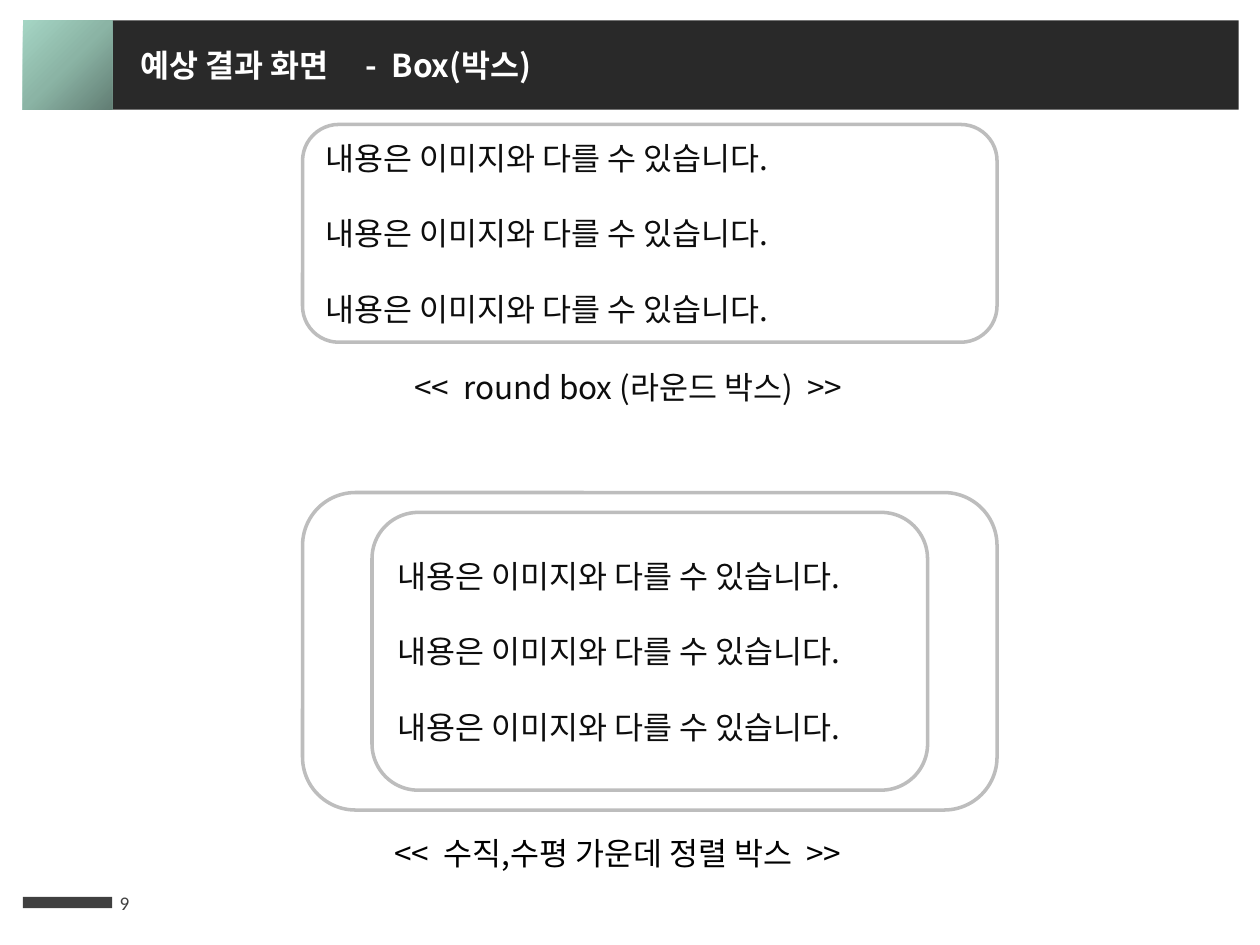
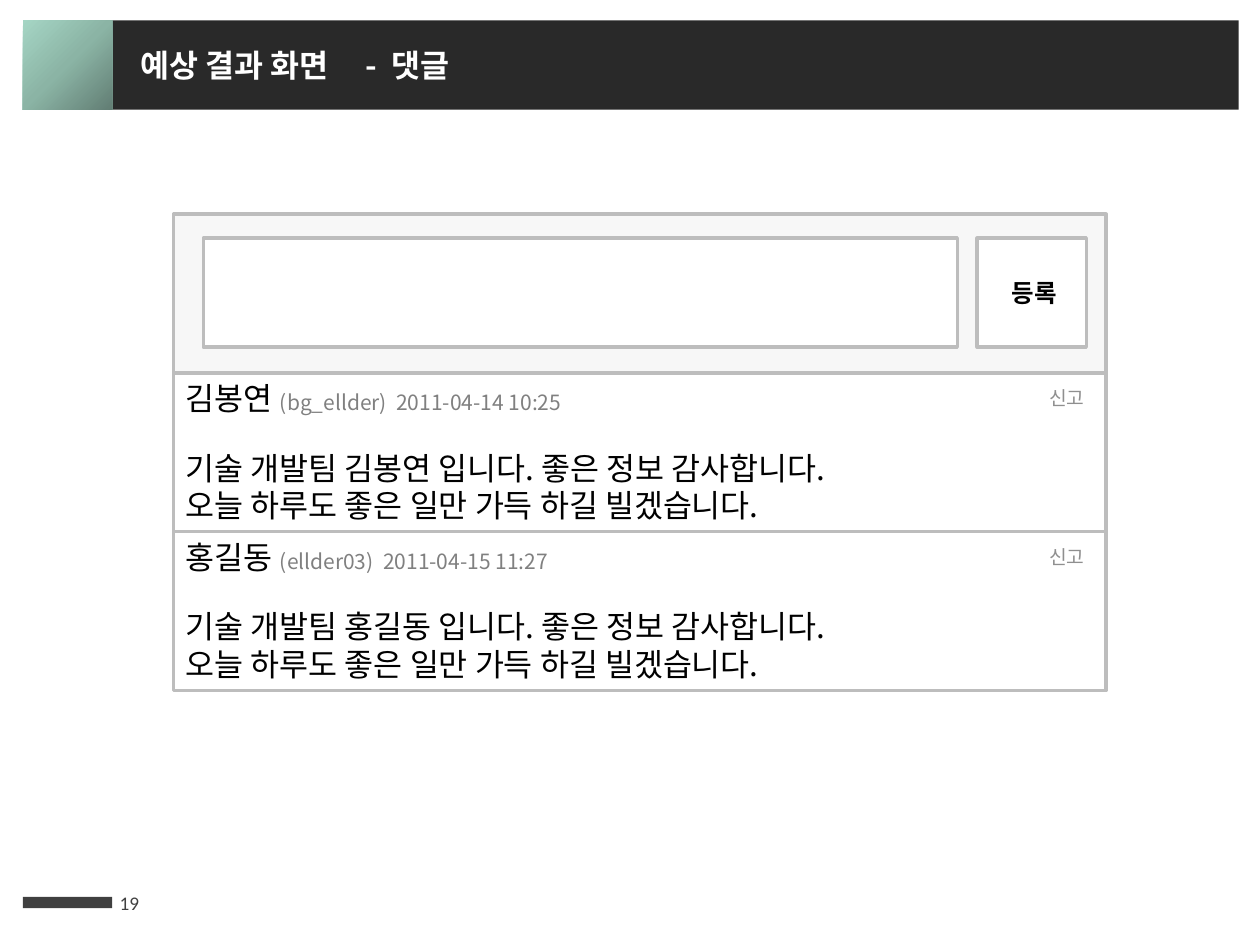
from pptx import Presentation
from pptx.dml.color import RGBColor
from pptx.enum.shapes import MSO_SHAPE
from pptx.enum.text import MSO_ANCHOR, MSO_AUTO_SIZE, PP_ALIGN
from pptx.oxml import parse_xml
from pptx.oxml.ns import nsdecls, qn
from pptx.util import Cm, Pt

RECT, ROUND = MSO_SHAPE.RECTANGLE, MSO_SHAPE.ROUNDED_RECTANGLE
TOP, MIDDLE = MSO_ANCHOR.TOP, MSO_ANCHOR.MIDDLE
LEFT, CENTER = PP_ALIGN.LEFT, PP_ALIGN.CENTER
NO_FIT = MSO_AUTO_SIZE.NONE

FONT, NUMBER_FONT = "Noto Sans CJK KR", "Calibri"
COLORS = {
    "band": "292929", "footer": "404040", "white": "FFFFFF", "border": "BDBDBD",
    "ink": "0D0D0D", "black": "000000", "meta": "808080", "report": "8F8F8F",
    "form": "F7F7F7", "mint_dark": "627E74", "mint": "8BB4A5", "mint_light": "A5D5C4",
}
BODY_SIZE = 18
LINE_RATIO = 1.2
SAMPLE_LINES = ["내용은 이미지와 다를 수 있습니다."] * 3
ROW_HEIGHT = 3.2


def rgb(name):
    """Return the named colour."""
    return RGBColor.from_string(COLORS[name])


def place(box):
    """Turn a box in centimetres into lengths."""
    return [Cm(value) for value in box]


def within(box, left, top, width, height):
    """Return a part's box from its offset in the enclosing box."""
    return box[0] + left, box[1] + top, width, height


def style_run(run, size, color, bold=False, font=FONT):
    """Set the font of one run for Latin and East Asian text."""
    run.font.name, run.font.size, run.font.bold = font, Pt(size), bold
    run.font.color.rgb = rgb(color)
    east_asian = parse_xml(f'<a:ea {nsdecls("a")} typeface="{font}"/>')
    run.font._element.find(qn("a:latin")).addnext(east_asian)


def write(frame, lines, size=BODY_SIZE, color="black", bold=False, font=FONT,
          anchor=TOP, align=LEFT, gap=0):
    """Fill a text frame with evenly spaced lines."""
    frame.text = "\n".join(lines)
    frame.word_wrap = True
    frame.auto_size = NO_FIT
    frame.vertical_anchor = anchor
    for index, paragraph in enumerate(frame.paragraphs):
        paragraph.alignment = align
        paragraph.line_spacing = Pt(size * LINE_RATIO)
        paragraph.space_before = Pt(gap if index else 0)
        for run in paragraph.runs:
            style_run(run, size, color, bold, font)


def add_panel(slide, box, fill="white", outline="border", kind=RECT):
    """Add a flat panel with an optional outline."""
    panel = slide.shapes.add_shape(kind, *place(box))
    panel.shadow.inherit = False
    panel.fill.solid()
    panel.fill.fore_color.rgb = rgb(fill)
    if outline:
        panel.line.color.rgb = rgb(outline)
        panel.line.width = Pt(2)
    else:
        panel.line.fill.background()
    return panel


def add_label(slide, box, lines, **style):
    """Add a text box and return its frame."""
    frame = slide.shapes.add_textbox(*place(box)).text_frame
    write(frame, lines, **style)
    return frame


def fill_mint(panel):
    """Give a panel the mint gradient that lightens to the top left."""
    stops = "".join(
        f'<a:gs pos="{position}"><a:srgbClr val="{COLORS[name]}"/></a:gs>'
        for position, name in ((0, "mint_dark"), (50000, "mint"), (100000, "mint_light")))
    gradient = parse_xml(
        f'<a:gradFill {nsdecls("a")} rotWithShape="1"><a:gsLst>{stops}</a:gsLst>'
        '<a:path path="circle"><a:fillToRect l="100000" t="100000"/></a:path></a:gradFill>')
    properties = panel._element.spPr
    properties.replace(properties.find(qn("a:solidFill")), gradient)


def dress_layout(layout, slide):
    """Move the header band, mint square and footer bar to the layout."""
    band = add_panel(slide, (2.26, 0.41, 22.71, 1.8), "band", None)
    square = add_panel(slide, (0.46, 0.41, 1.8, 1.8), "mint", None)
    footer_bar = add_panel(slide, (0.46, 18.08, 1.8, 0.23), "footer", None)
    fill_mint(square)
    for part in (band, square, footer_bar):
        layout.shapes._spTree.append(part._element)


def add_heading(slide, topic, number):
    """Set the slide title and the page number."""
    title = slide.shapes.title
    title.left, title.top, title.width, title.height = place((2.57, 0.81, 17.75, 1.02))
    write(title.text_frame, [f"예상 결과 화면\t-  {topic}"], color="white", bold=True)
    tab_stops = parse_xml(
        f'<a:tabLst {nsdecls("a")}><a:tab pos="{Cm(4.55)}" algn="l"/></a:tabLst>')
    title.text_frame.paragraphs[0]._p.get_or_add_pPr().append(tab_stops)
    add_label(slide, (2.16, 17.7, 1.5, 1.02), [str(number)], size=11,
              color="footer", font=NUMBER_FONT, anchor=MIDDLE)


def add_sample_box(slide, box):
    """Add a rounded box holding the sample lines."""
    sample = add_panel(slide, box, kind=ROUND)
    write(sample.text_frame, SAMPLE_LINES, color="ink", anchor=MIDDLE,
          gap=BODY_SIZE * LINE_RATIO)


def add_comment(slide, box, author, meta, lines):
    """Add one comment row with author, body and report link."""
    add_panel(slide, box)
    byline = add_label(slide, within(box, 0, 0, 13.6, 1.02), [author + " "])
    details = byline.paragraphs[0].add_run()
    details.text = meta
    style_run(details, 12, "meta")
    add_label(slide, within(box, 0, 1.4, 16.8, 1.8), lines)
    add_label(slide, within(box, 17.4, 0.15, 1.4, 0.74), ["신고"], size=11, color="report")


def add_comment_form(slide, box):
    """Add the entry form with its input field and submit button."""
    add_panel(slide, box, "form")
    add_panel(slide, within(box, 0.6, 0.48, 15.2, 2.2))
    submit = add_panel(slide, within(box, 16.2, 0.48, 2.2, 2.2)).text_frame
    write(submit, ["등록"], size=14, bold=True, anchor=MIDDLE, align=CENTER)
    submit.margin_left = Cm(0.1)
    submit.margin_right = submit.margin_top = submit.margin_bottom = 0
    submit.paragraphs[0].runs[0].font._element.set("spc", "50")


def build_box_slide(slide):
    """Show the round box and the centred box with captions."""
    add_heading(slide, "Box(박스)", 9)
    add_sample_box(slide, (6.1, 2.51, 14, 4.39))
    add_label(slide, (8.1, 7.29, 10, 1.02), ["<<  round box (라운드 박스)  >>"], color="ink")
    outer = (6.1, 9.93, 14, 6.4)
    add_panel(slide, outer, kind=ROUND)
    add_sample_box(slide, within(outer, 1.4, 0.4, 11.2, 5.6))
    add_label(slide, (7.7, 16.69, 11, 1.02), ["<<  수직,수평 가운데 정렬 박스  >>"])


def build_comment_slide(slide):
    """Show the comment form above its comments."""
    add_heading(slide, "댓글", 19)
    form = (3.5, 4.32, 18.8, ROW_HEIGHT)
    comments = [("김봉연", "(bg_ellder)  2011-04-14 10:25"),
                ("홍길동", "(ellder03)  2011-04-15 11:27")]
    for row, (author, meta) in enumerate(comments, start=1):
        lines = [f"기술 개발팀 {author} 입니다. 좋은 정보 감사합니다.",
                 "오늘 하루도 좋은 일만 가득 하길 빌겠습니다."]
        add_comment(slide, within(form, 0, row * ROW_HEIGHT, 18.8, ROW_HEIGHT),
                    author, meta, lines)
    add_comment_form(slide, form)


def main():
    """Build and save the presentation."""
    deck = Presentation()
    deck.slide_width, deck.slide_height = Cm(25.4), Cm(19.05)
    layout = deck.slide_layouts[5]
    box_slide, comment_slide = [deck.slides.add_slide(layout) for _ in range(2)]
    dress_layout(layout, box_slide)
    build_box_slide(box_slide)
    build_comment_slide(comment_slide)
    deck.save("out.pptx")


if __name__ == "__main__":
    main()
